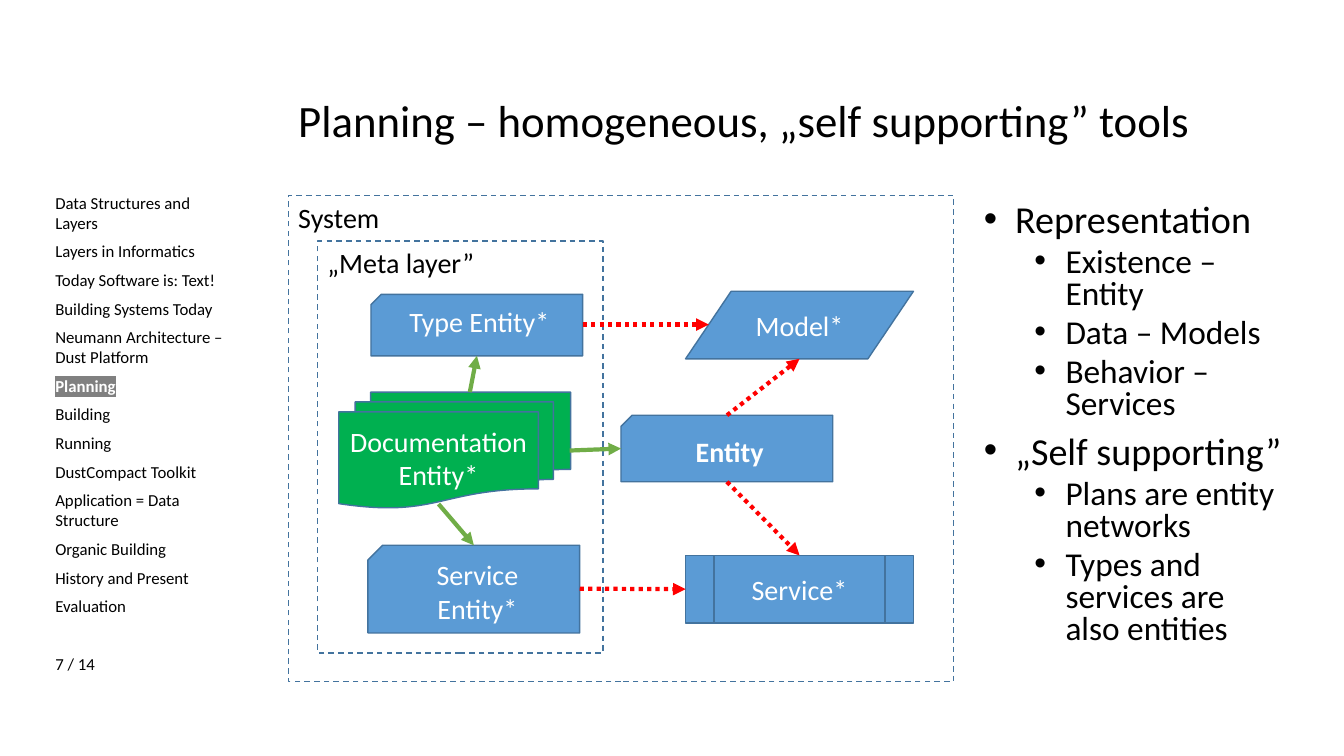
import pptx
import pptx.dml.color
import pptx.enum.dml
import pptx.enum.shapes
import pptx.enum.text
import pptx.oxml.ns
import pptx.util
from lxml import etree

Inches = pptx.util.Inches
Pt = pptx.util.Pt
Preset = pptx.enum.shapes.MSO_SHAPE
Dash = pptx.enum.dml.MSO_LINE
Align = pptx.enum.text.PP_ALIGN
Anchor = pptx.enum.text.MSO_ANCHOR
qn = pptx.oxml.ns.qn

BLACK, WHITE, GREY = "000000", "FFFFFF", "808080"
BLUE, OUTLINE, GREEN = "5B9BD5", "43739E", "00B050"
ARROW_GREEN, ARROW_RED = "70AD47", "FF0000"
TOP, LEFT, BOTTOM = 0, 1, 2


def rgb(value):
    return pptx.dml.color.RGBColor.from_string(value)


class Diagram:
    """Draws styled elements on the current slide."""

    typeface = "Calibri"
    label_size = 20

    def __init__(self, slide):
        self.slide = slide

    def style(self, paragraph, size, color=BLACK, bold=False):
        font = paragraph.font
        font.name, font.size, font.bold = self.typeface, Pt(size), bold
        font.color.rgb = rgb(color)

    def text_box(self, box):
        frame = self.slide.shapes.add_textbox(*map(Inches, box)).text_frame
        frame.word_wrap = True
        return frame

    def title(self, box, text):
        paragraph = self.text_box(box).paragraphs[0]
        paragraph.text = text
        paragraph.line_spacing = 0.9
        self.style(paragraph, 32)

    def agenda(self, box, topics, current, page):
        frame = self.text_box(box)
        for i, topic in enumerate(topics + [page]):
            paragraph = frame.add_paragraph() if i else frame.paragraphs[0]
            paragraph.text = topic
            if i:
                paragraph.space_before = Pt(27 if topic == page else 6)
            is_current = topic == current
            self.style(paragraph, 12, WHITE if is_current else BLACK, is_current)
            if is_current:
                properties = paragraph.runs[0]._r.get_or_add_rPr()
                highlight = etree.SubElement(properties, qn("a:highlight"))
                etree.SubElement(highlight, qn("a:srgbClr"), val=GREY)

    def bullets(self, box, items):
        frame = self.text_box(box)
        for i, (level, text) in enumerate(items):
            paragraph = frame.add_paragraph() if i else frame.paragraphs[0]
            paragraph.text = text
            paragraph.level = level
            properties = paragraph._p.get_or_add_pPr()
            properties.set("marL", str(Inches(0.81 if level else 0.31)))
            properties.set("indent", str(Inches(-0.31)))
            etree.SubElement(properties, qn("a:buFont"), typeface="Arial")
            etree.SubElement(properties, qn("a:buChar"), char="•")
            paragraph.line_spacing = 0.8
            if i:
                paragraph.space_before = Pt(5 if level else 10)
            self.style(paragraph, 23.8 if level else 27.2)

    def shape(self, preset, box, text, fill=None, anchor=Anchor.MIDDLE,
              bold=False, flip=False):
        shape = self.slide.shapes.add_shape(preset, *map(Inches, box))
        shape.shadow.inherit = False
        shape.line.color.rgb = rgb(OUTLINE)
        shape.line.width = Pt(1)
        if fill:
            shape.fill.solid()
            shape.fill.fore_color.rgb = rgb(fill)
        else:
            shape.fill.background()
            shape.line.dash_style = Dash.DASH
        if flip:
            shape._element.spPr.find(qn("a:xfrm")).set("flipH", "1")
        shape.text_frame.vertical_anchor = anchor
        paragraph = shape.text_frame.paragraphs[0]
        paragraph.text = text
        paragraph.alignment = Align.CENTER if fill else Align.LEFT
        self.style(paragraph, self.label_size, WHITE if fill else BLACK, bold)
        return shape

    def frame(self, box, text):
        return self.shape(Preset.RECTANGLE, box, text, anchor=Anchor.TOP)

    def entity(self, box, text, **options):
        return self.shape(Preset.SNIP_1_RECTANGLE, box, text, BLUE, flip=True, **options)

    def arrow(self, start, end, color, source=None, target=None):
        arrow = self.slide.shapes.add_connector(
            pptx.enum.shapes.MSO_CONNECTOR.STRAIGHT, *map(Inches, start + end))
        arrow.line.color.rgb = rgb(color)
        arrow.line.width = Pt(3)
        if color == ARROW_RED:
            arrow.line.dash_style = Dash.ROUND_DOT
        etree.SubElement(arrow.line._get_or_add_ln(), qn("a:tailEnd"), type="triangle")
        etree.SubElement(arrow._element.spPr, qn("a:effectLst"))
        if source:
            arrow.begin_connect(*source)
        if target:
            arrow.end_connect(*target)


def main():
    presentation = pptx.Presentation()
    presentation.slide_width = Inches(13.33)
    presentation.slide_height = Inches(7.5)
    diagram = Diagram(presentation.slides.add_slide(presentation.slide_layouts[6]))

    diagram.title((2.86, 0.93, 9.64, 0.83),
                  "Planning – homogeneous, „self supporting” tools")

    diagram.frame((2.86, 1.94, 6.6, 4.82), "System")
    diagram.frame((3.15, 2.39, 2.83, 4.09), "„Meta layer”")
    entity = diagram.entity((6.16, 4.12, 2.1, 0.66), "Entity", bold=True)
    service = diagram.shape(Preset.FLOWCHART_PREDEFINED_PROCESS,
                            (6.8, 5.51, 2.26, 0.67), "Service*", BLUE)
    diagram.shape(Preset.FLOWCHART_DATA, (6.8, 2.89, 2.26, 0.67), "Model*", BLUE)
    diagram.shape(Preset.FLOWCHART_MULTIDOCUMENT, (3.36, 3.89, 2.3, 1.15),
                  "Documentation\nEntity*", GREEN)
    type_entity = diagram.entity((3.68, 2.92, 2.1, 0.61), "Type Entity*",
                                 anchor=Anchor.TOP)
    service_entity = diagram.entity((3.65, 5.41, 2.1, 0.87), "Service\nEntity*",
                                    anchor=Anchor.TOP)

    diagram.arrow((5.65, 4.47), (6.16, 4.45), ARROW_GREEN)
    diagram.arrow((4.66, 3.89), (4.73, 3.53), ARROW_GREEN, target=(type_entity, BOTTOM))
    diagram.arrow((4.35, 5), (4.7, 5.41), ARROW_GREEN, target=(service_entity, TOP))
    diagram.arrow((7.21, 4.12), (7.93, 3.56), ARROW_RED, source=(entity, TOP))
    diagram.arrow((7.21, 4.78), (7.93, 5.51), ARROW_RED,
                  source=(entity, BOTTOM), target=(service, TOP))
    diagram.arrow((5.75, 5.84), (6.8, 5.84), ARROW_RED, target=(service, LEFT))
    diagram.arrow((5.78, 3.22), (7.03, 3.22), ARROW_RED)

    diagram.bullets((9.66, 1.98, 3.19, 4.78), [
        (0, "Representation"),
        (1, "Existence – Entity"),
        (1, "Data – Models"),
        (1, "Behavior – Services"),
        (0, "„Self supporting”"),
        (1, "Plans are entity networks"),
        (1, "Types and services are also entities"),
    ])
    diagram.agenda((0.45, 1.86, 1.96, 4.91), [
        "Data Structures and Layers",
        "Layers in Informatics",
        "Today Software is: Text!",
        "Building Systems Today",
        "Neumann Architecture – Dust Platform",
        "Planning",
        "Building",
        "Running",
        "DustCompact Toolkit",
        "Application = Data Structure",
        "Organic Building",
        "History and Present",
        "Evaluation",
    ], current="Planning", page="7 / 14")

    presentation.save("out.pptx")


if __name__ == "__main__":
    main()
